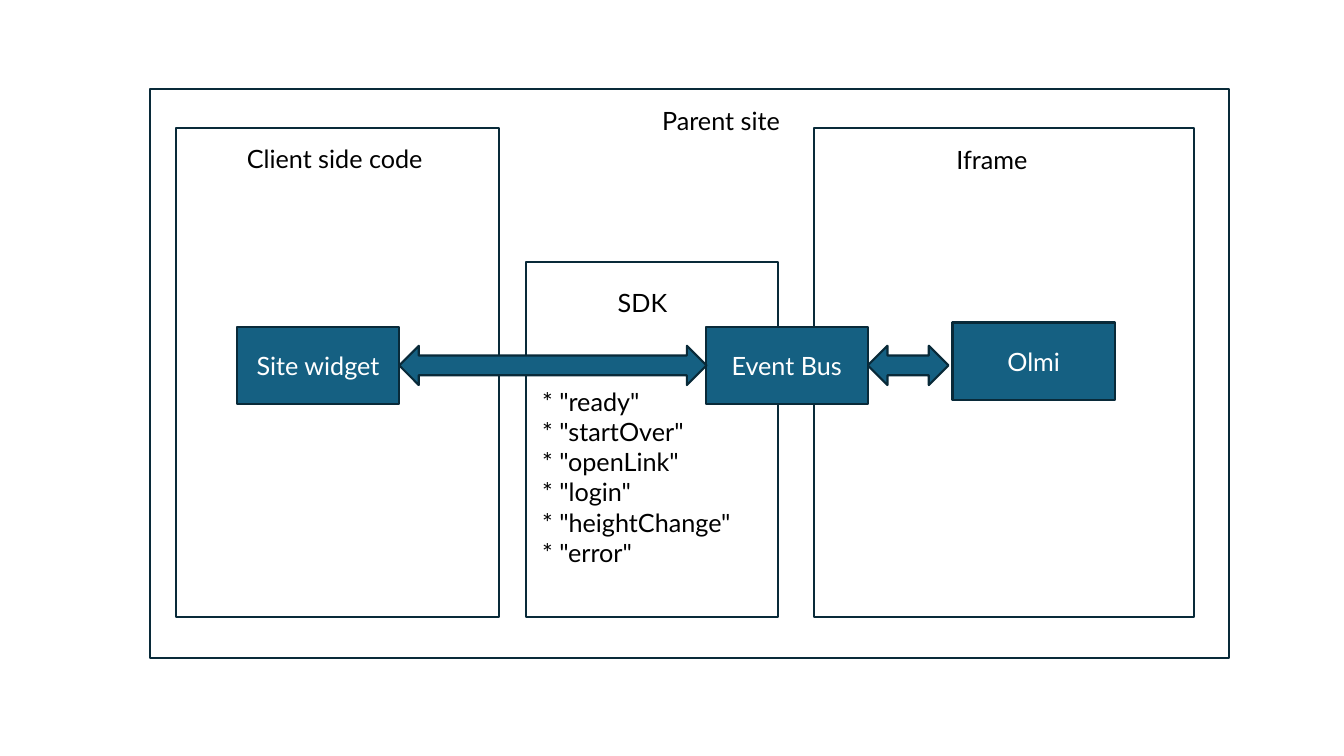
from dataclasses import dataclass

import pptx
import pptx.dml.color
import pptx.enum.shapes
import pptx.enum.text
import pptx.shapes.autoshape
import pptx.slide
import pptx.text.text
import pptx.util

Pt = pptx.util.Pt
RGBColor = pptx.dml.color.RGBColor
Shape = pptx.enum.shapes.MSO_SHAPE
Align = pptx.enum.text.PP_ALIGN

OUTLINE = RGBColor(0x09, 0x2A, 0x39)
TEAL = RGBColor(0x15, 0x60, 0x82)
BLACK = RGBColor(0, 0, 0)
WHITE = RGBColor(0xFF, 0xFF, 0xFF)
FONT = "Lato"
FONT_SIZE = 18

NODE_W, NODE_H = 115.92, 55.44
ARROW_TOP, ARROW_H = 246.96, 28.08
LABEL_H = 28.8


@dataclass(frozen=True)
class Box:
    left: float
    top: float
    width: float
    height: float

    def lengths(self) -> list[pptx.util.Length]:
        return [Pt(v) for v in (self.left, self.top, self.width, self.height)]


@dataclass(frozen=True)
class Panel:
    title: str
    frame: Box
    label: Box


@dataclass(frozen=True)
class Node:
    name: str
    left: float
    top: float = 233.28


PANELS = [
    Panel("Parent site", Box(107.28, 63.36, 770.4, 406.8), Box(465.84, 72, 115.92, LABEL_H)),
    Panel("Iframe", Box(581.76, 91.44, 271.44, 349.2), Box(676.08, 99.36, 115.92, LABEL_H)),
    Panel("SDK", Box(375.84, 187.2, 180, 253.44), Box(434.16, 201.6, 54, LABEL_H)),
    Panel("Client side code", Box(126, 91.44, 230.4, 349.2), Box(169.2, 98.64, 145.44, LABEL_H)),
]
NODES = [
    Node("Event Bus", 504),
    Node("Site widget", 169.2),
    Node("Olmi", 680.4, 230.4),
]
ARROWS = [
    Box(285.12, ARROW_TOP, 219.6, ARROW_H),
    Box(619.92, ARROW_TOP, 57.6, ARROW_H),
]
EVENTS = ["ready", "startOver", "openLink", "login", "heightChange", "error"]
EVENTS_BOX = Box(380.16, 272.16, 162, 138.24)


def write_lines(tf: pptx.text.text.TextFrame, lines: list[str],
                color: RGBColor, align: Align) -> None:
    tf.word_wrap = True
    for i, line in enumerate(lines):
        p = tf.add_paragraph() if i else tf.paragraphs[0]
        p.text = line
        p.alignment = align
        p.font.name = FONT
        p.font.size = Pt(FONT_SIZE)
        p.font.color.rgb = color


def add_text(s: pptx.slide.Slide, box: Box, lines: list[str]) -> None:
    tf = s.shapes.add_textbox(*box.lengths()).text_frame
    write_lines(tf, lines, BLACK, Align.LEFT)
    tf.auto_size = pptx.enum.text.MSO_AUTO_SIZE.SHAPE_TO_FIT_TEXT


def add_outlined(s: pptx.slide.Slide, kind: Shape, box: Box,
                 fill: RGBColor | None = None) -> pptx.shapes.autoshape.Shape:
    sp = s.shapes.add_shape(kind, *box.lengths())
    sp.shadow.inherit = False
    sp.line.color.rgb = OUTLINE
    sp.line.width = Pt(1.5)
    if fill is None:
        sp.fill.background()
    else:
        sp.fill.solid()
        sp.fill.fore_color.rgb = fill
    return sp


def add_panel(s: pptx.slide.Slide, panel: Panel) -> None:
    add_outlined(s, Shape.RECTANGLE, panel.frame)
    add_text(s, panel.label, [panel.title])


def add_node(s: pptx.slide.Slide, node: Node) -> None:
    box = Box(node.left, node.top, NODE_W, NODE_H)
    tf = add_outlined(s, Shape.RECTANGLE, box, TEAL).text_frame
    tf.vertical_anchor = pptx.enum.text.MSO_ANCHOR.MIDDLE
    write_lines(tf, [node.name], WHITE, Align.CENTER)


def main() -> None:
    prs = pptx.Presentation()
    prs.slide_width, prs.slide_height = Pt(960), Pt(540)
    s = prs.slides.add_slide(prs.slide_layouts[6])
    for panel in PANELS:
        add_panel(s, panel)
    for node in NODES:
        add_node(s, node)
    for arrow in ARROWS:
        add_outlined(s, Shape.LEFT_RIGHT_ARROW, arrow, TEAL)
    add_text(s, EVENTS_BOX, [f'* "{event}"' for event in EVENTS])
    prs.save("out.pptx")


if __name__ == "__main__":
    main()
